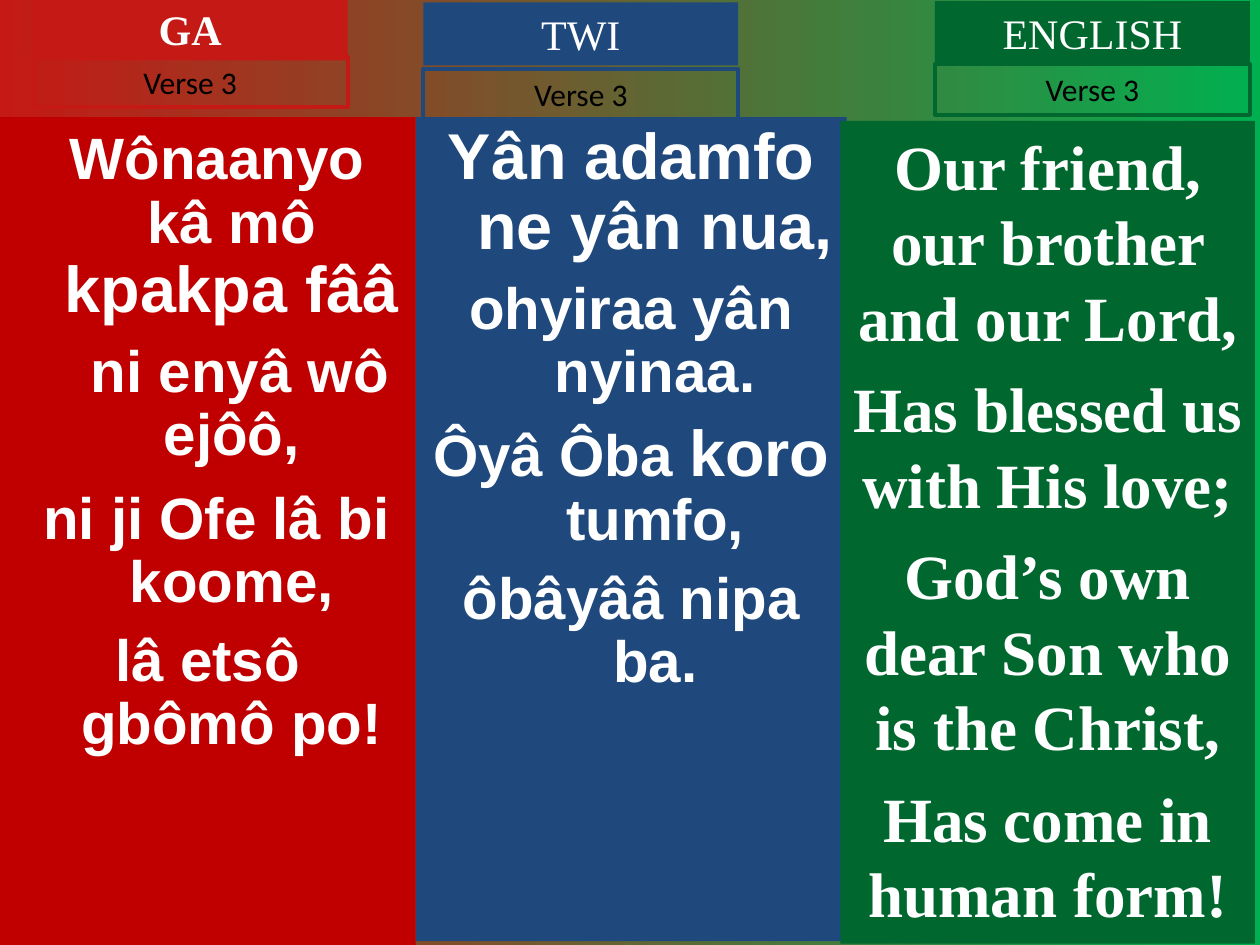
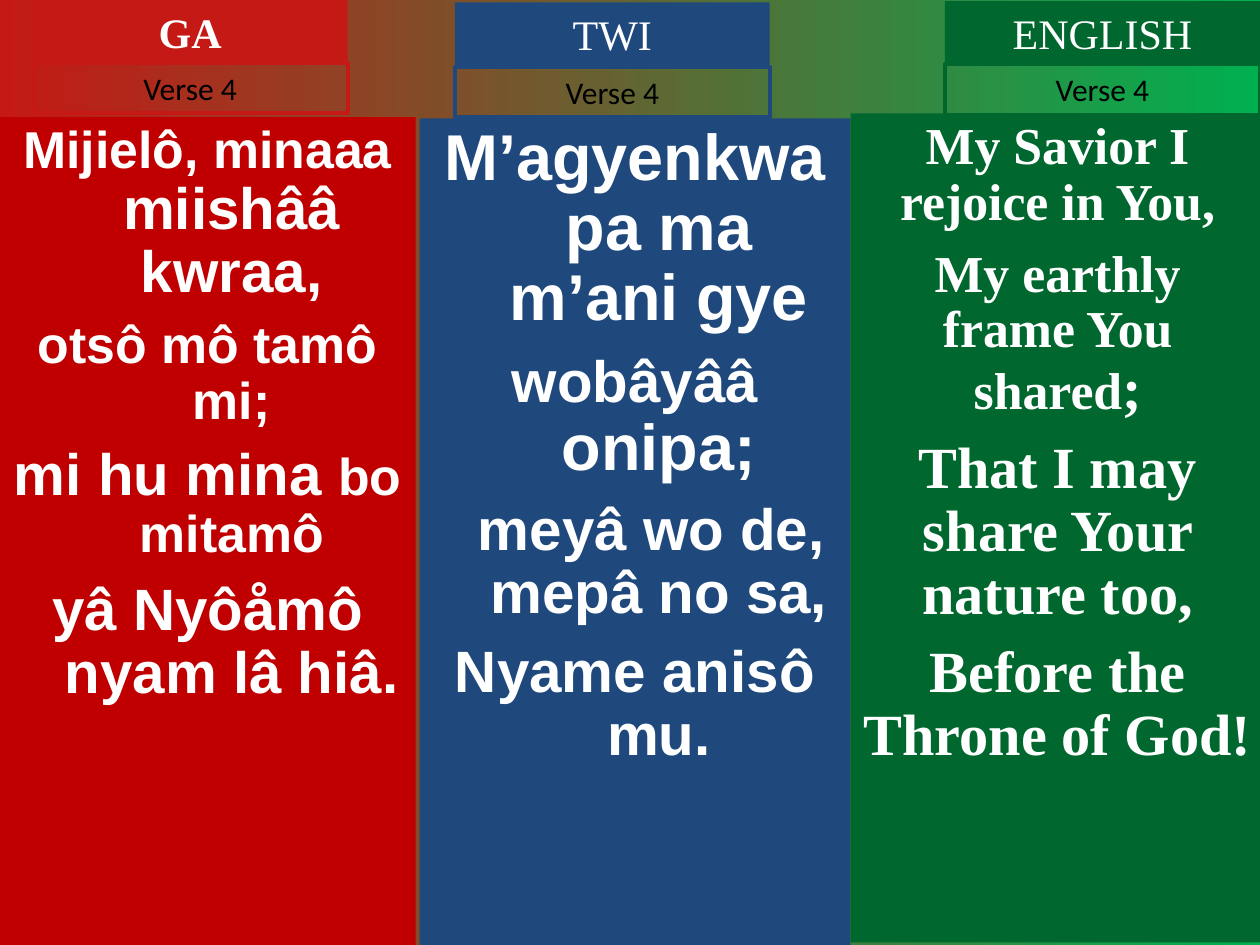
from pptx import Presentation
from pptx.dml.color import RGBColor
from pptx.enum.shapes import MSO_SHAPE
from pptx.enum.text import MSO_ANCHOR, PP_ALIGN
from pptx.util import Inches, Pt

RECTANGLE = MSO_SHAPE.RECTANGLE
TOP = MSO_ANCHOR.TOP
CENTER = PP_ALIGN.CENTER

COLORS = {
    "red": "C51915",
    "deep red": "C00000",
    "blue": "1F497D",
    "green": "00682F",
    "bright green": "00B050",
    "white": "FFFFFF",
    "black": "000000",
}
SANS, SERIF, LABEL = "Arial", "Times New Roman", "Calibri"
LARGE, ENGLISH_SIZE, MEDIUM, SMALL = 37, 36, 33.3, 29.6
HANGING = 0.38
LABEL_WIDTH, HEADER_HEIGHT, VERSE_HEIGHT = 2.5, 0.5, 0.4

LANGUAGES = {
    "GA": {"label": "red", "column": "deep red", "font": SANS, "hanging": HANGING, "bold": True},
    "TWI": {"label": "blue", "column": "blue", "font": SANS, "hanging": HANGING, "bold": False},
    "ENGLISH": {"label": "green", "column": "green", "font": SERIF, "hanging": 0, "bold": False},
}

VERSES = {
    "Verse 3": {
        "GA": {
            "column": (0, 0.93, 3.3, 6.57), "header": (0.26, -0.02), "verse": (0.26, 0.45), "spacing": 0.9,
            "lines": [
                (0, 0.15, [("Wônaanyo", MEDIUM), (" ", LARGE), ("kâ mô ", MEDIUM), ("kpakpa fââ", LARGE)]),
                (9, 0.51, [("ni enyâ wô ejôô,", MEDIUM)]),
                (12.5, 0.14, [("ni ji Ofe lâ bi koome,", MEDIUM)]),
                (9, 0, [("lâ etsô gbômô po!", MEDIUM)]),
            ],
        },
        "TWI": {
            "column": (3.3, 0.93, 3.42, 6.54), "header": (3.36, 0.02), "verse": (3.36, 0.55), "spacing": 0.9,
            "lines": [
                (0, 0, [("Yân adamfo ne yân nua,", LARGE)]),
                (9, 0, [("ohyiraa yân nyinaa.", MEDIUM)]),
                (9, 0, [("Ôyâ Ôba ", MEDIUM), ("koro ", LARGE), ("tumfo,", MEDIUM)]),
                (9, 0, [("ôbâyââ nipa ba.", MEDIUM)]),
            ],
        },
        "ENGLISH": {
            "column": (6.67, 0.96, 3.29, 6.53), "header": (7.42, 0.01), "verse": (7.42, 0.51), "spacing": 1.0,
            "lines": [
                (0, 0, [("Our friend, our brother and our Lord,", ENGLISH_SIZE)]),
                (9, 0, [("Has blessed us with His love;", ENGLISH_SIZE)]),
                (9, 0, [("God’s own dear Son who is the Christ,", ENGLISH_SIZE)]),
                (9, 0, [("Has come in human form!", ENGLISH_SIZE)]),
            ],
        },
    },
    "Verse 4": {
        "GA": {
            "column": (0, 0.93, 3.3, 6.57), "header": (0.26, 0), "verse": (0.26, 0.5), "spacing": 0.9,
            "lines": [
                (0, 0, [("Mijielô, minaaa ", SMALL), ("miishââ kwraa,", MEDIUM)]),
                (8, 0, [("otsô mô tamô mi;", SMALL)]),
                (8, 0, [("mi hu mina ", MEDIUM), ("bo mitamô", SMALL)]),
                (9, 0, [("yâ Nyôåmô nyam lâ hiâ.", MEDIUM)]),
            ],
        },
        "TWI": {
            "column": (3.33, 0.94, 3.42, 6.56), "header": (3.61, 0.02), "verse": (3.61, 0.53), "spacing": 0.9,
            "lines": [
                (0, 0, [("M’agyenkwa pa ma m’ani gye", LARGE)]),
                (10, 0, [("wobâyââ ", MEDIUM), ("onipa;", LARGE)]),
                (9, 0.26, [("meyâ wo de, mepâ no sa,", MEDIUM)]),
                (9, 0, [("Nyame anisô mu.", MEDIUM)]),
            ],
        },
        "ENGLISH": {
            "column": (6.75, 0.9, 3.29, 6.58), "header": (7.5, 0.01), "verse": (7.5, 0.51), "spacing": 0.9,
            "lines": [
                (0, 0, [("My Savior I rejoice in You,", SMALL)]),
                (9, 0, [("My earthly frame You shared", SMALL), (";", MEDIUM)]),
                (9, 0, [("That I may share Your nature too,", MEDIUM)]),
                (9, 0, [("Before the Throne of God!", MEDIUM)]),
            ],
        },
    },
}


class HymnDeck:
    """Builds hymn slides with one column of verse per language."""

    def __init__(self):
        self.presentation = Presentation()
        self.presentation.slide_width = Inches(10)
        self.presentation.slide_height = Inches(7.5)
        self.slide = None

    def color(self, name):
        return RGBColor.from_string(COLORS[name])

    def add_slide(self):
        self.slide = self.presentation.slides.add_slide(self.presentation.slide_layouts[6])
        fill = self.slide.background.fill
        fill.gradient()
        fill.gradient_angle = 0
        for stop, position, name in zip(fill.gradient_stops, (0, 1), ("red", "bright green")):
            stop.position = position
            stop.color.rgb = self.color(name)

    def add_box(self, place, fill=None, line=None):
        shape = self.slide.shapes.add_shape(RECTANGLE, *map(Inches, place))
        shape.shadow.inherit = False
        if fill:
            shape.fill.solid()
            shape.fill.fore_color.rgb = self.color(fill)
        else:
            shape.fill.background()
        if line:
            shape.line.color.rgb = self.color(line)
            shape.line.width = Pt(2.25)
        else:
            shape.line.fill.background()
        frame = shape.text_frame
        frame.word_wrap = True
        frame.vertical_anchor = TOP
        frame.paragraphs[0].alignment = CENTER
        return frame

    def add_run(self, paragraph, text, size, font, color="white", bold=False):
        run = paragraph.add_run()
        run.text = text
        run.font.size = Pt(size)
        run.font.name = font
        run.font.bold = bold
        run.font.color.rgb = self.color(color)

    def add_column(self, language, content):
        frame = self.add_box(content["column"], fill=language["column"])
        hanging = language["hanging"]
        for index, (space, shift, runs) in enumerate(content["lines"]):
            paragraph = frame.add_paragraph() if index else frame.paragraphs[0]
            paragraph.alignment = CENTER
            paragraph.line_spacing = content["spacing"]
            paragraph.space_before = Pt(space)
            properties = paragraph._p.get_or_add_pPr()
            properties.set("marL", str(Inches(hanging)))
            properties.set("indent", str(Inches(shift - hanging)))
            for text, size in runs:
                self.add_run(paragraph, text, size, language["font"], bold=True)

    def add_header(self, name, language, position):
        frame = self.add_box((*position, LABEL_WIDTH, HEADER_HEIGHT), fill=language["label"])
        self.add_run(frame.paragraphs[0], name, 24, SERIF, bold=language["bold"])

    def add_verse_label(self, verse, language, position):
        frame = self.add_box((*position, LABEL_WIDTH, VERSE_HEIGHT), line=language["label"])
        self.add_run(frame.paragraphs[0], verse, 18, LABEL, "black")


def main():
    deck = HymnDeck()
    for verse, columns in VERSES.items():
        deck.add_slide()
        for name, content in columns.items():
            deck.add_column(LANGUAGES[name], content)
        for name, content in columns.items():
            deck.add_header(name, LANGUAGES[name], content["header"])
            deck.add_verse_label(verse, LANGUAGES[name], content["verse"])
    deck.presentation.save("out.pptx")


if __name__ == "__main__":
    main()
